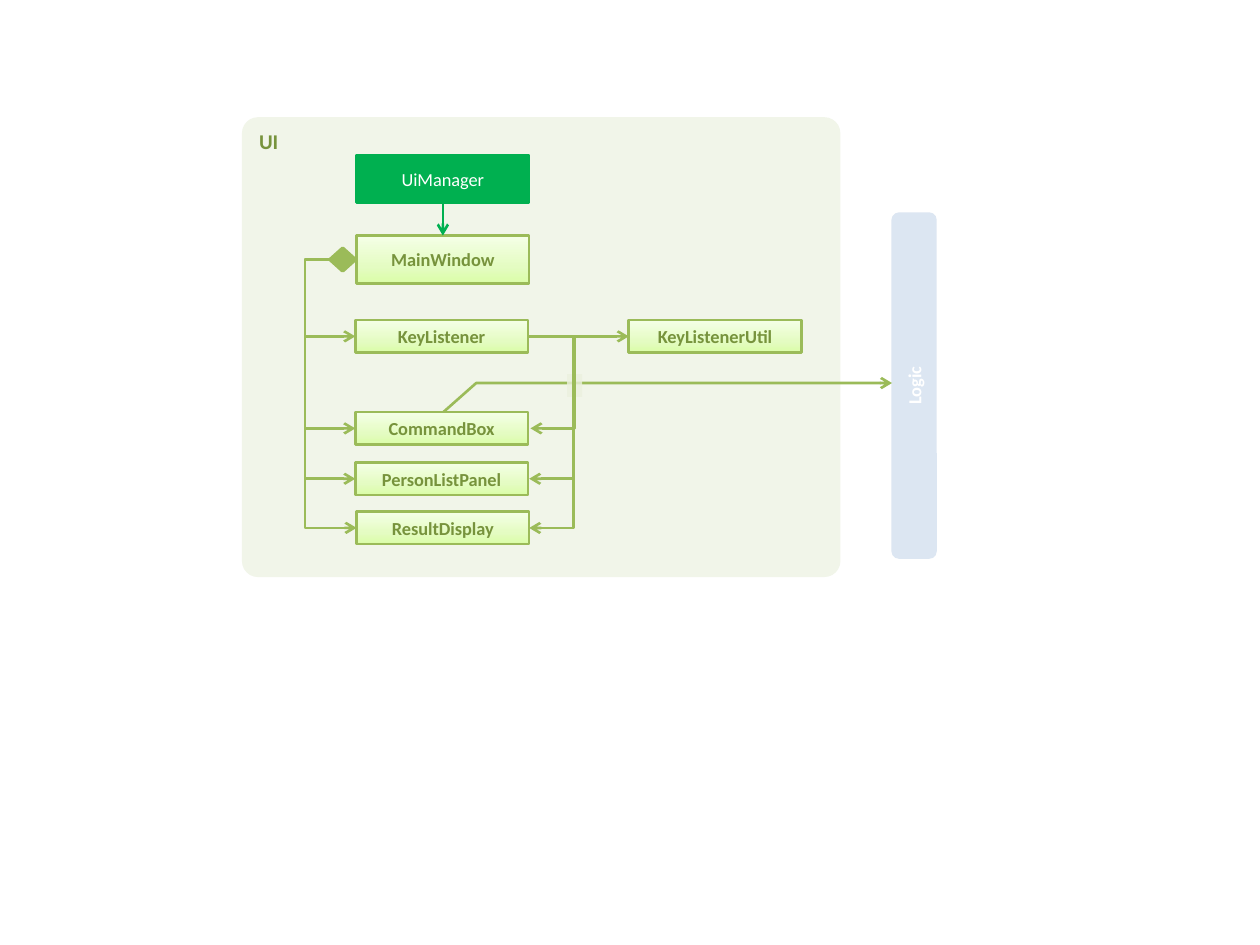
"""Build the UI component diagram slide."""
from copy import deepcopy
from lxml import etree
from pptx import Presentation, util as u
from pptx.dml.color import RGBColor
from pptx.enum import shapes, text
from pptx.oxml.ns import qn

GREEN = RGBColor(0x9B, 0xBB, 0x59)
DARK_GREEN = RGBColor(0x77, 0x93, 0x3C)
EMERALD = RGBColor(0x00, 0xB0, 0x50)
PALE_GREEN = RGBColor(0xF1, 0xF5, 0xE9)
MASK_GREEN = RGBColor(0xEB, 0xF1, 0xDE)
PALE_BLUE = RGBColor(0xDC, 0xE6, 0xF2)
WHITE = RGBColor(0xFF, 0xFF, 0xFF)
CLASS_GRADIENT = (
    (0, RGBColor(0xDA, 0xFD, 0xA7)),
    (0.35, RGBColor(0xE4, 0xFC, 0xC2)),
    (1, RGBColor(0xF5, 0xFF, 0xE7)),
)
KIND = shapes.MSO_SHAPE
CENTERED = {"align": text.PP_ALIGN.CENTER, "anchor": text.MSO_ANCHOR.MIDDLE, "size": 10.5}
CLASS_TEXT = {**CENTERED, "bold": True, "color": DARK_GREEN}

prs = Presentation()
prs.slide_width, prs.slide_height = u.Inches(10), u.Inches(7.5)
slide = prs.slides.add_slide(prs.slide_layouts[6])


def add_block(kind, bounds, fill=None, line=None, label="", style=None, weight=1.5):
    block = slide.shapes.add_shape(kind, *map(u.Inches, bounds))
    block.shadow.inherit = False
    if fill is None:
        block.fill.gradient()
        block.fill.gradient_angle = 90
        stop_list = block._element.spPr.find(".//" + qn("a:gsLst"))
        stop_list.insert(1, deepcopy(stop_list[0]))
        for stop, (position, color) in zip(block.fill.gradient_stops, CLASS_GRADIENT):
            stop.position, stop.color.rgb = position, color
    else:
        block.fill.solid()
        block.fill.fore_color.rgb = fill
    if line is None:
        block.line.fill.background()
    else:
        block.line.color.rgb, block.line.width = line, u.Pt(weight)
    if label:
        frame = block.text_frame
        frame.vertical_anchor = style["anchor"]
        paragraph = frame.paragraphs[0]
        paragraph.alignment = style["align"]
        run = paragraph.add_run()
        run.text = label
        run.font.color.rgb = style["color"]
        font_format = {"name": "Calibri", "size": u.Pt(style["size"]), "bold": style["bold"]}
        for attribute, value in font_format.items():
            setattr(run.font, attribute, value)
    return block


def add_arrow(start, end, color=GREEN, bend_x=None):
    kind = shapes.MSO_CONNECTOR.STRAIGHT if bend_x is None else shapes.MSO_CONNECTOR.ELBOW
    arrow = slide.shapes.add_connector(kind, *map(u.Inches, (*start, *end)))
    arrow.line.color.rgb, arrow.line.width = color, u.Pt(1.5)
    etree.SubElement(arrow.line._get_or_add_ln(), qn("a:tailEnd"), type="arrow")
    etree.SubElement(arrow._element.spPr, qn("a:effectLst"))
    if bend_x is not None:
        bend = round((bend_x - start[0]) / (end[0] - start[0]) * 100000)
        guides = arrow._element.spPr.find(".//" + qn("a:prstGeom")).get_or_add_avLst()
        etree.SubElement(guides, qn("a:gd"), name="adj1", fmla=f"val {bend}")
    return arrow


ui_style = {"align": text.PP_ALIGN.LEFT, "anchor": text.MSO_ANCHOR.TOP,
            "size": 12, "bold": True, "color": DARK_GREEN}
ui_panel = add_block(KIND.ROUNDED_RECTANGLE, (1.92, 0.93, 4.75, 3.65), PALE_GREEN,
                     label="UI", style=ui_style)
ui_panel.adjustments[0] = 0.035

logic_bar = add_block(KIND.ROUNDED_RECTANGLE, (5.88, 2.88, 2.75, 0.36), PALE_BLUE,
                      label="Logic", style={**CLASS_TEXT, "color": WHITE})
logic_bar.rotation = 270

ui_manager = add_block(KIND.RECTANGLE, (2.83, 1.23, 1.37, 0.38), EMERALD, EMERALD,
                       "UiManager", {**CENTERED, "bold": False, "color": WHITE})
classes = {}
for name, left, top, height in (
    ("MainWindow", 2.83, 1.87, 0.38),
    ("KeyListener", 2.82, 2.54, 0.26),
    ("KeyListenerUtil", 4.99, 2.54, 0.26),
    ("CommandBox", 2.82, 3.27, 0.26),
    ("PersonListPanel", 2.82, 3.67, 0.26),
    ("ResultDisplay", 2.83, 4.06, 0.26),
):
    classes[name] = add_block(KIND.RECTANGLE, (left, top, 1.37, height),
                              line=GREEN, label=name, style=CLASS_TEXT)

add_block(KIND.FLOWCHART_DECISION, (2.62, 1.97, 0.2, 0.18), GREEN, GREEN, weight=2)

logic_path = slide.shapes.build_freeform(u.Inches(3.52), u.Inches(3.27))
logic_path.add_line_segments([(u.Inches(3.78), u.Inches(3.04)),
                              (u.Inches(7.08), u.Inches(3.04))], close=False)
logic_call = logic_path.convert_to_shape()
logic_call.shadow.inherit = False
logic_call.fill.background()
logic_call.line.color.rgb, logic_call.line.width = GREEN, u.Pt(1.5)
etree.SubElement(logic_call.line._get_or_add_ln(), qn("a:tailEnd"), type="arrow")

manager_arrow = add_arrow((3.52, 1.61), (3.52, 1.87), EMERALD)
manager_arrow.begin_connect(ui_manager, 2)
manager_arrow.end_connect(classes["MainWindow"], 0)

for name, y in (("KeyListener", 2.67), ("CommandBox", 3.4)):
    add_arrow((2.42, y), (2.82, y)).end_connect(classes[name], 1)
for end in ((2.82, 3.8), (2.83, 4.19)):
    add_arrow((2.62, 2.06), end, bend_x=2.42)

add_arrow((4.19, 2.67), (4.2, 3.8), bend_x=4.56)
crossing = add_block(KIND.RECTANGLE, (4.5, 2.97, 0.12, 0.18), MASK_GREEN)
mask_color = crossing._element.spPr.find(".//" + qn("a:srgbClr"))
etree.SubElement(mask_color, qn("a:alpha"), val="80000")
for end in ((4.21, 3.4), (4.2, 4.19)):
    add_arrow((4.19, 2.67), end, bend_x=4.56)

util_arrow = add_arrow((4.19, 2.67), (4.99, 2.67))
util_arrow.begin_connect(classes["KeyListener"], 3)
util_arrow.end_connect(classes["KeyListenerUtil"], 1)

prs.save("out.pptx")
